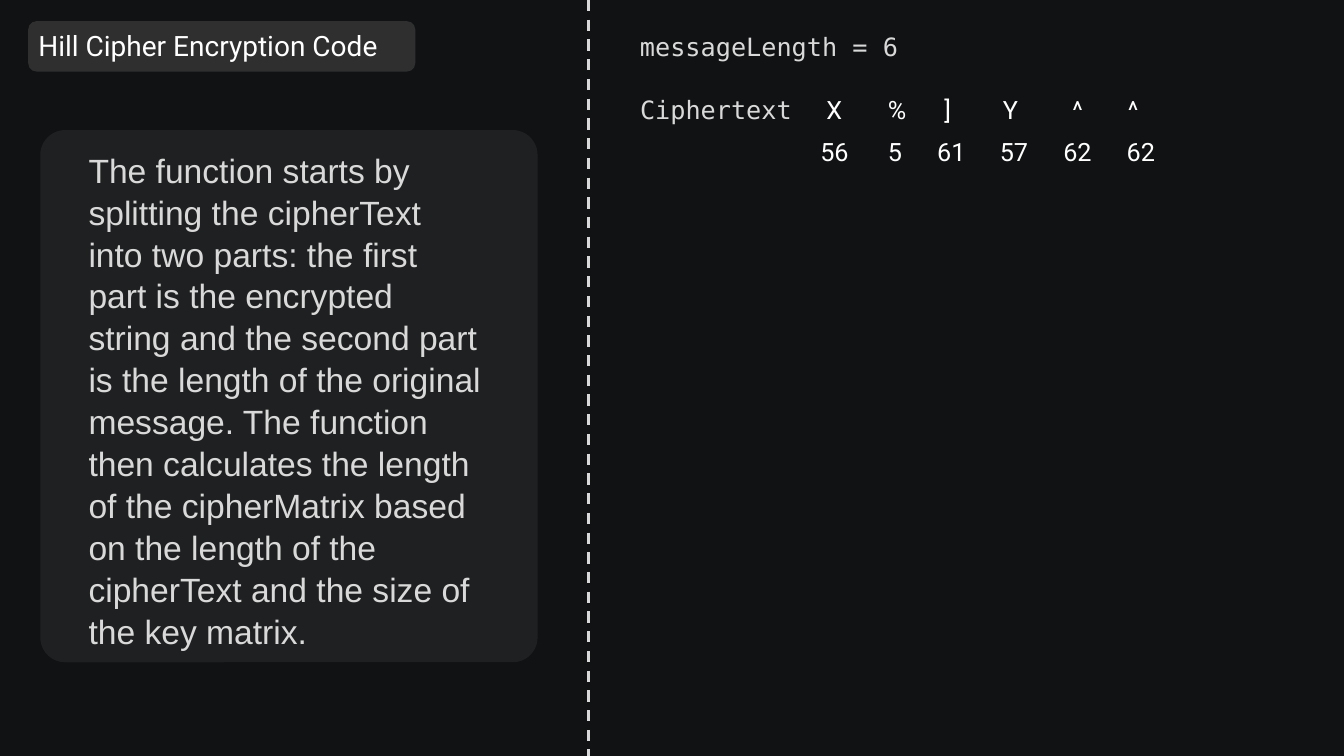
from dataclasses import dataclass

from lxml.etree import SubElement
from pptx import Presentation
from pptx.dml.color import RGBColor
from pptx.enum.dml import MSO_LINE
from pptx.enum.shapes import MSO_CONNECTOR, MSO_SHAPE
from pptx.enum.text import MSO_ANCHOR, MSO_AUTO_SIZE, PP_ALIGN
from pptx.oxml.ns import qn
from pptx.util import Inches, Pt


@dataclass(frozen=True)
class Theme:
    background: str = "111214"
    panel: str = "595959"
    bright: str = "FFFFFF"
    soft: str = "D9D9D9"
    heading_font: str = "Roboto"
    body_font: str = "Arial"
    code_font: str = "DejaVu Sans Mono"
    title_size: int = 20
    body_size: int = 24
    code_size: int = 18


class SlideBuilder:
    """Places elements by percent of the slide's width and height."""

    def __init__(self, prs, theme):
        self.prs, self.theme = prs, theme
        self.s = prs.slides.add_slide(prs.slide_layouts[5])
        fill = self.s.background.fill
        fill.solid()
        fill.fore_color.rgb = RGBColor.from_string(theme.background)

    def x(self, percent):
        return round(self.prs.slide_width * percent / 100)

    def y(self, percent):
        return round(self.prs.slide_height * percent / 100)

    def box(self, left, top, width, height):
        return self.x(left), self.y(top), self.x(width), self.y(height)

    def panel(self, *area, opacity, corner=None):
        sp = self.s.shapes.add_shape(MSO_SHAPE.ROUNDED_RECTANGLE, *self.box(*area))
        sp.shadow.inherit = False
        sp.line.fill.background()
        sp.fill.solid()
        sp.fill.fore_color.rgb = RGBColor.from_string(self.theme.panel)
        if corner is not None:
            sp.adjustments[0] = corner
        color = sp._element.spPr.find(".//" + qn("a:srgbClr"))
        SubElement(color, qn("a:alpha"), val=str(opacity * 1000))

    def fill_text(self, sp, text, font, size, color, spacing=None):
        tf = sp.text_frame
        tf.word_wrap = True
        tf.auto_size = MSO_AUTO_SIZE.SHAPE_TO_FIT_TEXT
        tf.vertical_anchor = MSO_ANCHOR.TOP
        p = tf.paragraphs[0]
        p.alignment = PP_ALIGN.LEFT
        if spacing:
            p.line_spacing = spacing
        r = p.add_run()
        r.text = text
        r.font.name, r.font.size = font, Pt(size)
        r.font.color.rgb = RGBColor.from_string(color)

    def title(self, text, *area):
        sp = self.s.shapes.title
        sp.left, sp.top, sp.width, sp.height = self.box(*area)
        self.s.shapes._spTree.append(sp._element)  # in front of its panel
        t = self.theme
        self.fill_text(sp, text, t.heading_font, t.title_size, t.bright)

    def text(self, text, *area, font, size, color, spacing=None):
        sp = self.s.shapes.add_textbox(*self.box(*area))
        self.fill_text(sp, text, font, size, color, spacing)

    def divider(self, left):
        line = self.s.shapes.add_connector(
            MSO_CONNECTOR.STRAIGHT, self.x(left), 0, self.x(left), self.y(100))
        line.line.color.rgb = RGBColor.from_string(self.theme.soft)
        line.line.width = Pt(2)
        line.line.dash_style = MSO_LINE.DASH
        SubElement(line._element.spPr, qn("a:effectLst"))


EXPLANATION = (
    "The function starts by splitting the cipherText into two parts: "
    "the first part is the encrypted string and the second part is the "
    "length of the original message. The function then calculates the "
    "length of the cipherMatrix based on the length of the cipherText "
    "and the size of the key matrix."
)
ROW_HEIGHT = 5.33
LENGTH_ROW, SYMBOL_ROW, CODE_ROW = 3.47, 11.87, 17.33
# Each label: text, top, width
LABELS = [("messageLength = 6", LENGTH_ROW, 21.3), ("Ciphertext", SYMBOL_ROW, 13.43)]
# Each symbol and code: text, left, width
SYMBOLS = [("X", 60.75, 3.23), ("%", 65.33, 3.23), ("]", 69.53, 2.55),
           ("Y", 73.88, 2.48), ("^", 79.05, 2.48), ("^", 83.18, 2.48)]
CODES = [("56", 60.3, 3.98), ("5", 65.33, 2.7), ("61", 69, 3.68),
         ("57", 73.65, 3.75), ("62", 78.38, 3.75), ("62", 83.1, 3.75)]


def main():
    prs = Presentation()
    prs.slide_width, prs.slide_height = Inches(13.33), Inches(7.5)
    t = Theme()
    slide = SlideBuilder(prs, t)

    # Title
    slide.panel(2.1, 2.8, 28.8, 6.67, opacity=42)
    slide.title("Hill Cipher Encryption Code", 2.1, 3.07, 28.8, 5.87)

    # Explanation card
    slide.panel(3, 17.2, 37, 70.4, opacity=20, corner=0.05)
    slide.text(EXPLANATION, 5.85, 18.93, 30.9, 66, font=t.body_font,
               size=t.body_size, color=t.soft, spacing=1.04)

    # Divider between explanation and worked example
    slide.divider(43.8)

    # Variable names
    for text, top, width in LABELS:
        slide.text(text, 46.88, top, width, ROW_HEIGHT, font=t.code_font,
                   size=t.code_size, color=t.soft)

    # Ciphertext symbols above their numeric codes
    for top, entries in ((SYMBOL_ROW, SYMBOLS), (CODE_ROW, CODES)):
        for text, left, width in entries:
            slide.text(text, left, top, width, ROW_HEIGHT, font=t.heading_font,
                       size=t.code_size, color=t.bright)

    prs.save("out.pptx")


if __name__ == "__main__":
    main()
